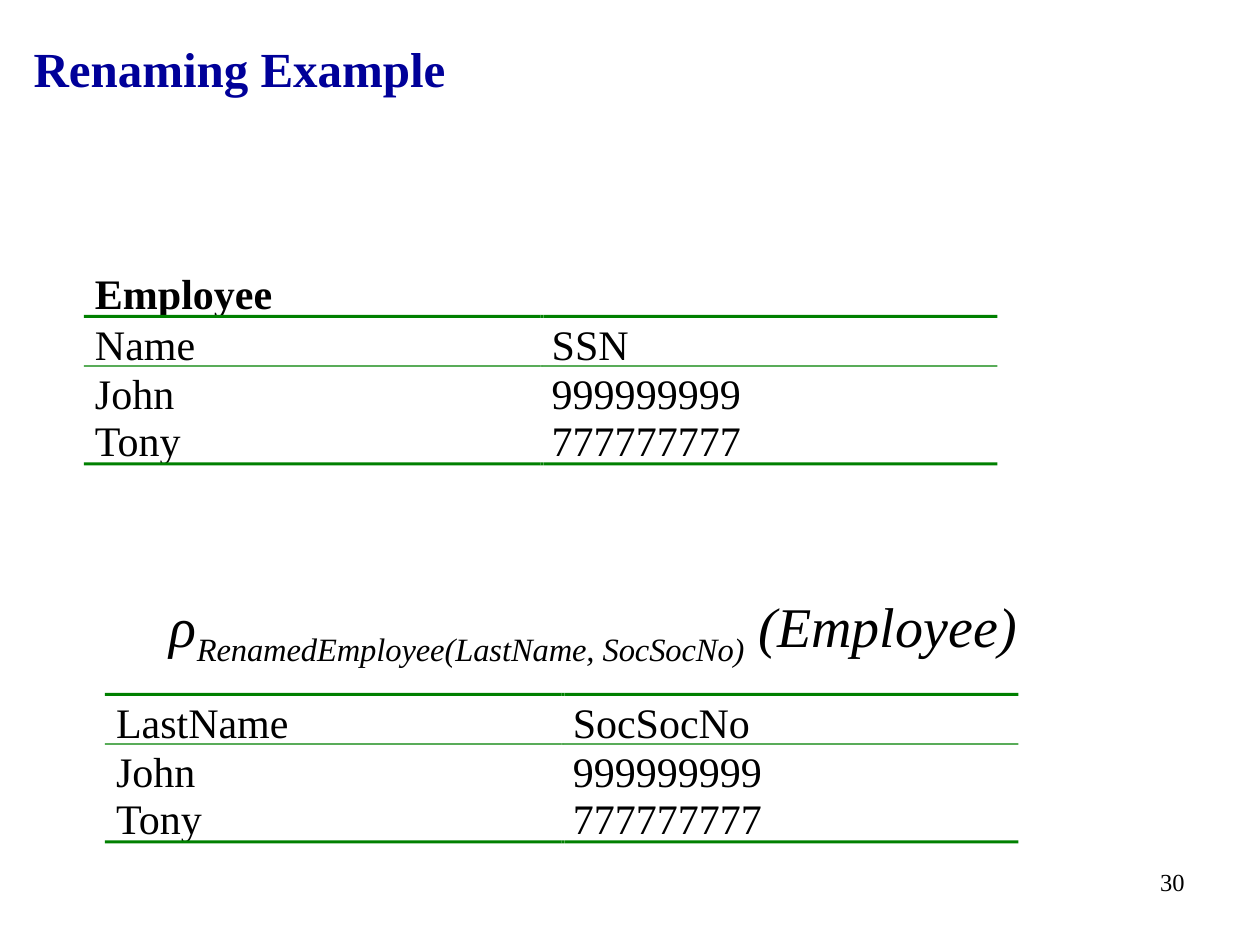
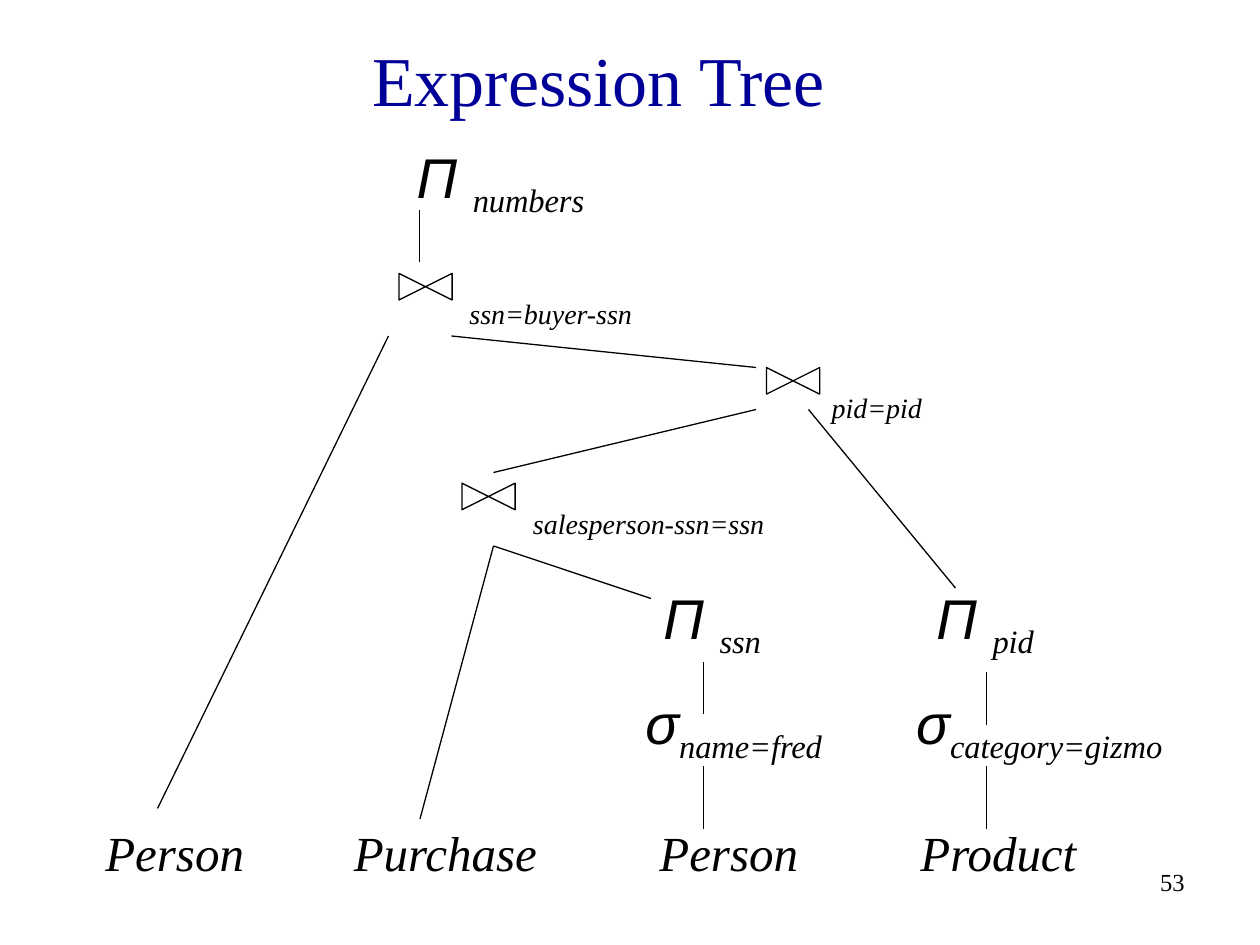
from pptx import Presentation
from pptx.dml.color import RGBColor
from pptx.enum.shapes import MSO_CONNECTOR, MSO_SHAPE
from pptx.enum.text import MSO_ANCHOR, MSO_AUTO_SIZE, PP_ALIGN
from pptx.oxml.ns import qn
from pptx.util import Pt
from lxml import etree

NAVY = RGBColor(0x00, 0x00, 0x99)
GREEN = RGBColor(0x00, 0x80, 0x00)
BLACK = RGBColor(0x00, 0x00, 0x00)
SERIF = "Times New Roman"
SANS = "Arial"

TABLE_TEXT = {"name": SERIF, "size": Pt(24)}
FORMULA_TEXT = {"name": SERIF, "size": Pt(32), "italic": True}
SYMBOL_TEXT = {**FORMULA_TEXT, "name": SANS}
CONDITION_TEXT = {"name": SERIF, "size": Pt(16), "italic": True}
RELATION_TEXT = {"name": SERIF, "size": Pt(28), "italic": True}
NUMBER_TEXT = {"name": SERIF, "size": Pt(14)}

NAME_ROW_HEIGHT = 28
ROW_HEIGHTS = (29.1, 28, 26.9)
TABLE_LINE_HEIGHT = 26
# Offset from the first rule, and thickness.
RULES = [(0, 1.75), (28.8, 0.8), (84.2, 1.75)]
TUPLES = [("John", "999999999"), ("Tony", "777777777")]

# Positions below are relative to the top left corner of the tree.
OPERATORS = [
    (171, 0, "Π ", "numbers"),
    (312, 252, "Π ", "ssn"),
    (468, 252, "Π ", "pid"),
    (301.7, 312, "σ", "name=fred"),
    (456.5, 312, "σ", "category=gizmo"),
]
JOINS = [
    (183.2, 85.8, "ssn=buyer-ssn", 18),
    (393.2, 139.6, "pid=pid", 15),
    (219.2, 205.7, "salesperson-ssn=ssn", 18.3),
]
RELATIONS = [(0.2, "Person"), (142.2, "Purchase"), (316.8, "Person"), (466, "Product")]
RELATIONS_TOP = 392
BRANCHES = [
    ((179.8, 72), (179.8, 42)),
    ((30, 384), (162, 114)),
    ((372, 132), (198, 114)),
    ((222, 192), (372, 156)),
    ((486, 258), (402, 156)),
    ((180, 390), (222, 234)),
    ((312, 264), (222, 234)),
    ((342, 330), (342, 300)),
    ((503.8, 336), (503.8, 306)),
    ((342, 396), (342, 360)),
    ((503.8, 396), (503.8, 360)),
]


def add_run(paragraph, text, text_format, color=BLACK, subscript=False):
    run = paragraph.add_run()
    run.text = text
    for name, value in text_format.items():
        setattr(run.font, name, value)
    run.font.color.rgb = color
    if subscript:
        run._r.get_or_add_rPr().set("baseline", "-25000")


def add_text_box(slide, left, top, width, height, inset=True):
    """Add an empty text box and return its paragraph."""
    box = slide.shapes.add_textbox(Pt(left), Pt(top), Pt(width), Pt(height))
    frame = box.text_frame
    frame.word_wrap = True
    if not inset:
        for side in ("left", "top", "right", "bottom"):
            setattr(frame, f"margin_{side}", 0)
    return frame.paragraphs[0]


def add_titled_slide(presentation, title, box, alignment, size, bold, number):
    slide = presentation.slides.add_slide(presentation.slide_layouts[5])
    placeholder = slide.shapes.title
    for name, value in zip(("left", "top", "width", "height"), box):
        setattr(placeholder, name, Pt(value))
    frame = placeholder.text_frame
    frame.auto_size = MSO_AUTO_SIZE.NONE
    frame.vertical_anchor = MSO_ANCHOR.MIDDLE
    paragraph = frame.paragraphs[0]
    paragraph.alignment = alignment
    add_run(paragraph, title, {"name": SERIF, "size": Pt(size), "bold": bold}, NAVY)

    paragraph = add_text_box(slide, 534, 492, 150, 36)
    paragraph.alignment = PP_ALIGN.RIGHT
    add_run(paragraph, str(number), NUMBER_TEXT)
    return slide


def add_rule(slide, left, top, width, thickness):
    """Add a rule of two column bars, with a square joint between them."""
    middle = left + width / 2
    bars = [
        (left, middle - left),
        (middle, thickness),
        (middle + thickness, width / 2 - thickness),
    ]
    for bar_left, bar_width in bars:
        bar = slide.shapes.add_shape(
            MSO_SHAPE.RECTANGLE, Pt(bar_left), Pt(top), Pt(bar_width), Pt(thickness)
        )
        bar.shadow.inherit = False
        bar.fill.solid()
        bar.fill.fore_color.rgb = GREEN
        bar.line.fill.background()


def add_relation_table(slide, left, rule_top, width, attributes, name=None):
    """Add a relation whose first rule is at rule_top, under its name if it has one."""
    rows = [attributes, *TUPLES]
    heights = ROW_HEIGHTS
    top = rule_top + 2.3
    if name:
        rows = [(name, ""), *rows]
        heights = (NAME_ROW_HEIGHT, *heights)
        top -= NAME_ROW_HEIGHT
    table = slide.shapes.add_table(
        len(rows), 2, Pt(left), Pt(top), Pt(width), Pt(sum(heights))
    ).table
    table.first_row = table.horz_banding = False
    for column in table.columns:
        column.width = Pt(width / 2)
    for row, values, height in zip(table.rows, rows, heights):
        row.height = Pt(height)
        for cell, value in zip(row.cells, values):
            cell.fill.background()
            cell.vertical_anchor = MSO_ANCHOR.BOTTOM
            cell.margin_left = Pt(6.3)
            cell.margin_top = cell.margin_right = cell.margin_bottom = 0
            paragraph = cell.text_frame.paragraphs[0]
            paragraph.line_spacing = Pt(TABLE_LINE_HEIGHT)
            if value:
                add_run(paragraph, value, {**TABLE_TEXT, "bold": value == name})
    for offset, thickness in RULES:
        add_rule(slide, left, rule_top + offset, width, thickness)


def add_join(slide, center_x, center_y, condition, gap):
    """Add a bow tie around the given center, with its condition at lower right."""
    width, height = 15.2, 30.4
    symbol = slide.shapes.add_shape(
        MSO_SHAPE.FLOWCHART_COLLATE,
        Pt(center_x - width / 2), Pt(center_y - height / 2), Pt(width), Pt(height),
    )
    symbol.rotation = 270
    symbol.shadow.inherit = False
    symbol.fill.background()
    symbol.line.color.rgb = BLACK
    symbol.line.width = Pt(0.75)
    paragraph = add_text_box(slide, center_x + gap, center_y + 2.2, 160, 27)
    add_run(paragraph, condition, CONDITION_TEXT)


def add_branch(slide, start_x, start_y, end_x, end_y):
    branch = slide.shapes.add_connector(
        MSO_CONNECTOR.STRAIGHT, Pt(start_x), Pt(start_y), Pt(end_x), Pt(end_y)
    )
    branch.line.color.rgb = BLACK
    branch.line.width = Pt(0.75)
    etree.SubElement(branch._element.spPr, qn("a:effectLst"))


def add_expression_tree(slide, left, top):
    for x, y, symbol, argument in OPERATORS:
        paragraph = add_text_box(slide, left + x, top + y, 180, 51)
        add_run(paragraph, symbol, SYMBOL_TEXT)
        add_run(paragraph, argument, FORMULA_TEXT, subscript=True)
    for x, y, condition, gap in JOINS:
        add_join(slide, left + x, top + y, condition, gap)
    for x, relation in RELATIONS:
        paragraph = add_text_box(slide, left + x, top + RELATIONS_TOP, 120, 33, inset=False)
        add_run(paragraph, relation, RELATION_TEXT)
    for (start_x, start_y), (end_x, end_y) in BRANCHES:
        add_branch(slide, left + start_x, top + start_y, left + end_x, top + end_y)


def add_renaming_slide(presentation):
    slide = add_titled_slide(
        presentation, "Renaming Example", (12, 12, 684, 54), PP_ALIGN.LEFT, 28, True, 30
    )
    add_relation_table(slide, 48, 180, 522, ("Name", "SSN"), "Employee")
    paragraph = add_text_box(slide, 90, 334.6, 540, 50)
    add_run(paragraph, "ρ", FORMULA_TEXT)
    add_run(paragraph, "RenamedEmployee(LastName, SocSocNo)", FORMULA_TEXT, subscript=True)
    add_run(paragraph, " (Employee)", FORMULA_TEXT)
    add_relation_table(slide, 60, 396, 522, ("LastName", "SocSocNo"))


def add_tree_slide(presentation):
    slide = add_titled_slide(
        presentation, "Expression Tree", (36, 12, 612, 66), PP_ALIGN.CENTER, 40, False, 53
    )
    add_expression_tree(slide, 60, 78)


def main():
    presentation = Presentation()
    presentation.slide_width = Pt(720)
    presentation.slide_height = Pt(540)
    add_renaming_slide(presentation)
    add_tree_slide(presentation)
    presentation.save("out.pptx")


if __name__ == "__main__":
    main()
